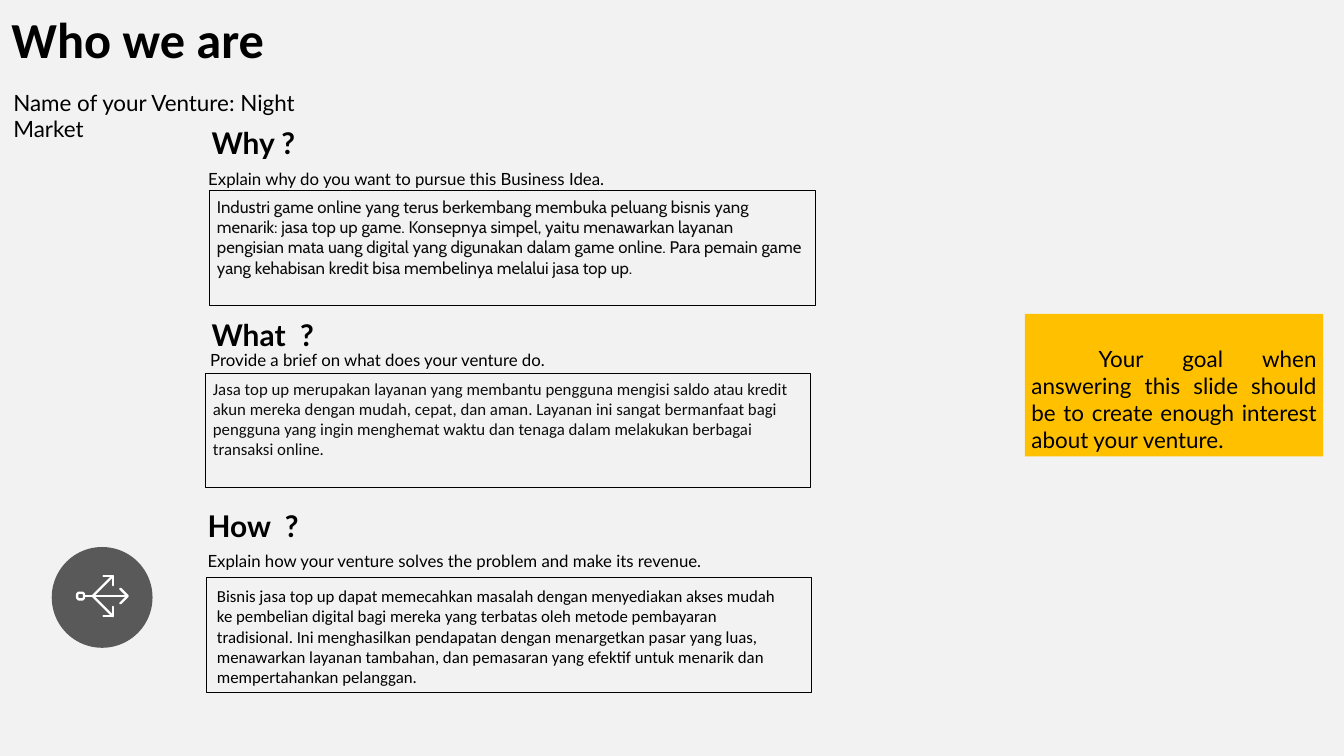
from dataclasses import dataclass
from math import cos, pi, sin

from lxml.etree import SubElement
from pptx import Presentation
from pptx.dml.color import RGBColor
from pptx.enum.shapes import MSO_SHAPE
from pptx.enum.text import MSO_ANCHOR, MSO_AUTO_SIZE, PP_ALIGN
from pptx.oxml.ns import qn
from pptx.util import Pt

PX = 9144


@dataclass(frozen=True)
class Theme:
    paper: RGBColor = RGBColor(0xF2, 0xF2, 0xF2)
    ink: RGBColor = RGBColor(0, 0, 0)
    soft_ink: RGBColor = RGBColor(0x0D, 0x0D, 0x0D)
    badge: RGBColor = RGBColor(0x59, 0x59, 0x59)
    symbol: RGBColor = RGBColor(0xFF, 0xFF, 0xFF)
    goal: RGBColor = RGBColor(0xFF, 0xC0, 0x00)
    title_size: int = 54
    heading_size: int = 32
    lead_size: int = 24
    body_size: int = 18


theme = Theme()


def px(*lengths):
    return [length * PX for length in lengths]


def write(shape, text, size=theme.body_size, font="Lato", color=theme.ink, bold=False,
          align=PP_ALIGN.LEFT, anchor=MSO_ANCHOR.TOP, fit=MSO_AUTO_SIZE.SHAPE_TO_FIT_TEXT):
    frame = shape.text_frame
    frame.word_wrap = True
    frame.auto_size = fit
    frame.vertical_anchor = anchor
    paragraph = frame.paragraphs[0]
    paragraph.alignment = align
    run = paragraph.add_run()
    run.text = text
    run.font.name = font
    run.font.size = Pt(size)
    run.font.bold = bold
    run.font.color.rgb = color
    return paragraph


deck = Presentation()
deck.slide_width, deck.slide_height = px(2000, 1125)
slide = deck.slides.add_slide(deck.slide_layouts[5])
slide.background.fill.solid()
slide.background.fill.fore_color.rgb = theme.paper
shapes = slide.shapes

branching = shapes.add_group_shape()
badge = branching.shapes.add_shape(MSO_SHAPE.OVAL, *px(77, 814, 150, 150))
badge.shadow.inherit = False
badge.fill.solid()
badge.fill.fore_color.rgb = theme.badge
badge.line.fill.background()

ring = [(120 + 5.5 * cos(step * pi / 12), 887 + 5.5 * sin(step * pi / 12)) for step in range(25)]
strokes = [
    ring,
    [(126, 887), (190, 887)],
    [(179, 876), (190, 887), (179, 898)],
]
for side in (-1, 1):
    tip = 887 + 30 * side
    strokes.append([(138, 887), (168, tip)])
    strokes.append([(154, tip), (168, tip), (168, tip - 14 * side)])

outline = branching.shapes.build_freeform(*strokes[0][0], scale=PX)
outline.add_line_segments(strokes[0][1:], close=False)
for stroke in strokes[1:]:
    outline.move_to(*stroke[0])
    outline.add_line_segments(stroke[1:], close=False)
arrows = outline.convert_to_shape()
arrows.shadow.inherit = False
arrows.fill.background()
arrows.line.color.rgb = theme.symbol
arrows.line.width = Pt(2.5)
arrow_line = arrows.line._get_or_add_ln()
arrow_line.set("cap", "rnd")
SubElement(arrow_line, qn("a:round"))

title = shapes.title
title.left, title.top, title.width, title.height = px(7, 7, 1006, 101)
write(title, "Who we are", size=theme.title_size, font="Calibri", bold=True)

venture = shapes.add_textbox(*px(10, 127, 520, 50))
write(venture, "Name of your Venture: Night Market", size=theme.lead_size)

sections = [
    {
        "heading": ("Why ?", (305, 181, 167, 64)),
        "prompt": ("Explain why do you want to pursue this Business Idea.", (300, 246, 639, 40)),
        "frame": (312, 283),
        "answer": (
            "Industri game online yang terus berkembang membuka peluang bisnis yang menarik: "
            "jasa top up game. Konsepnya simpel, yaitu menawarkan layanan pengisian mata uang "
            "digital yang digunakan dalam game online. Para pemain game yang kehabisan kredit "
            "bisa membelinya melalui jasa top up.",
            (313, 288, 893, 131),
        ),
        "style": {"font": "Cabin", "color": theme.soft_ink},
    },
    {
        "heading": ("What  ?", (305, 467, 194, 64)),
        "prompt": ("Provide a brief on what does your venture do.", (303, 516, 529, 40)),
        "frame": (305, 555),
        "answer": (
            "Jasa top up merupakan layanan yang membantu pengguna mengisi saldo atau kredit "
            "akun mereka dengan mudah, cepat, dan aman. Layanan ini sangat bermanfaat bagi "
            "pengguna yang ingin menghemat waktu dan tenaga dalam melakukan berbagai "
            "transaksi online.",
            (307, 558, 893, 131),
        ),
        "style": {"font": "Calibri", "color": theme.soft_ink},
    },
    {
        "heading": ("How  ?", (299, 750, 180, 64)),
        "prompt": ("Explain how your venture solves the problem and make its revenue.",
                   (299, 815, 797, 40)),
        "frame": (307, 859),
        "answer": (
            "Bisnis jasa top up dapat memecahkan masalah dengan menyediakan akses mudah ke "
            "pembelian digital bagi mereka yang terbatas oleh metode pembayaran tradisional. "
            "Ini menghasilkan pendapatan dengan menargetkan pasar yang luas, menawarkan "
            "layanan tambahan, dan pemasaran yang efektif untuk menarik dan mempertahankan "
            "pelanggan.",
            (313, 867, 878, 160),
        ),
        "style": {"font": "Calibri"},
    },
]

for section in sections:
    heading, heading_place = section["heading"]
    write(shapes.add_textbox(*px(*heading_place)), heading, size=theme.heading_size, bold=True)

    prompt, prompt_place = section["prompt"]
    write(shapes.add_textbox(*px(*prompt_place)), prompt)

    answer_frame = shapes.add_shape(MSO_SHAPE.RECTANGLE, *px(*section["frame"], 901, 171))
    answer_frame.shadow.inherit = False
    answer_frame.fill.background()
    answer_frame.line.color.rgb = theme.ink
    answer_frame.line.width = Pt(0.75)

    answer, answer_place = section["answer"]
    write(shapes.add_textbox(*px(*answer_place)), answer, **section["style"])

goal = shapes.add_shape(MSO_SHAPE.RECTANGLE, *px(1525, 467, 444, 212))
goal.shadow.inherit = False
goal.fill.solid()
goal.fill.fore_color.rgb = theme.goal
goal.line.fill.background()
goal_text = write(
    goal,
    "Your goal when answering this slide should be to create enough interest about your venture.",
    size=theme.lead_size, align=PP_ALIGN.JUSTIFY, anchor=MSO_ANCHOR.BOTTOM, fit=MSO_AUTO_SIZE.NONE,
)
goal_text._p.get_or_add_pPr().set("indent", str(100 * PX))

deck.save("out.pptx")
